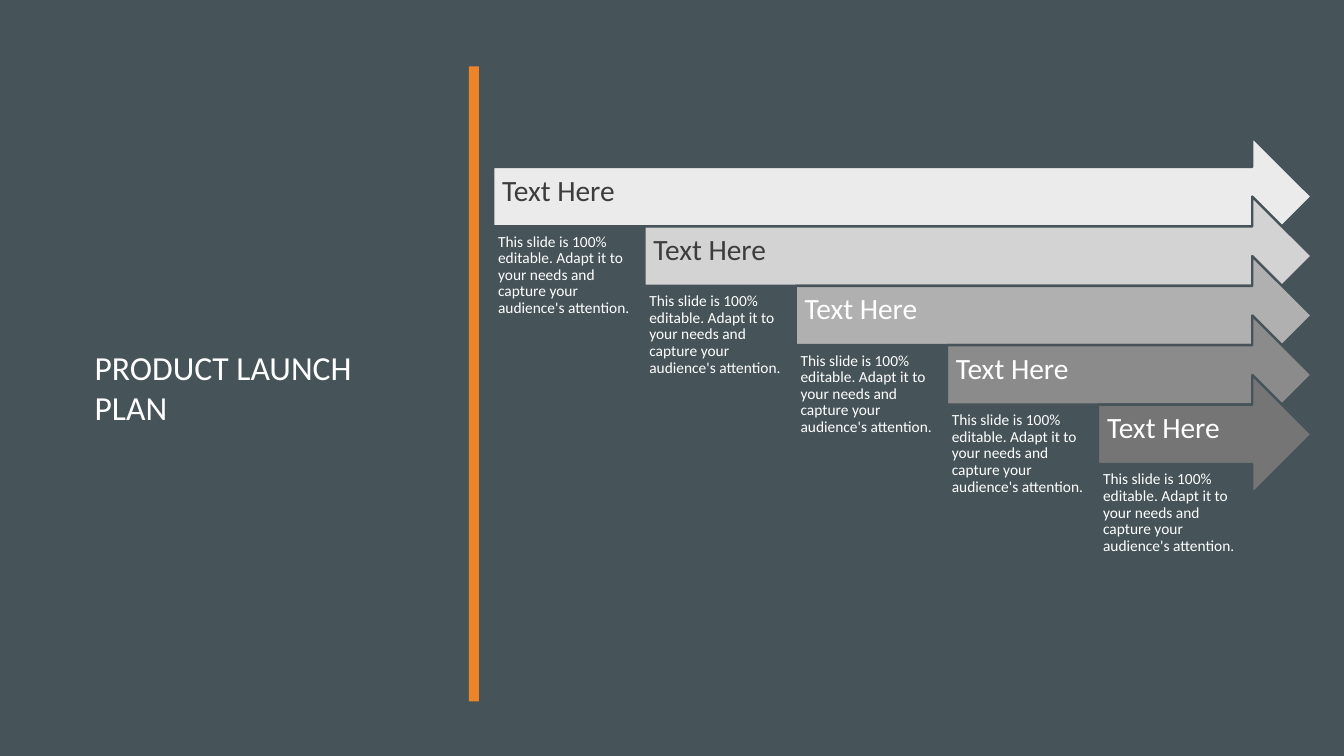
from pptx import Presentation
from pptx.dml.color import RGBColor
from pptx.enum.shapes import MSO_SHAPE
from pptx.enum.text import MSO_ANCHOR, PP_ALIGN
from pptx.util import Inches, Pt

TITLE = "PRODUCT LAUNCH PLAN"
HEAD = "Text Here"
NOTE = ("This slide is 100% editable. Adapt it to your needs and "
        "capture your audience's attention.")

SLATE = RGBColor(0x46, 0x53, 0x59)
ORANGE = RGBColor(0xED, 0x84, 0x28)
WHITE = RGBColor(0xFF, 0xFF, 0xFF)
DARK = RGBColor(0x3D, 0x3D, 0x3D)

# heading, note, arrow fill, heading colour
STEPS = [
    (HEAD, NOTE, RGBColor(0xEB, 0xEB, 0xEB), DARK),
    (HEAD, NOTE, RGBColor(0xD3, 0xD3, 0xD3), DARK),
    (HEAD, NOTE, RGBColor(0xB0, 0xB0, 0xB0), WHITE),
    (HEAD, NOTE, RGBColor(0x8B, 0x8B, 0x8B), WHITE),
    (HEAD, NOTE, RGBColor(0x75, 0x75, 0x75), WHITE),
]

FONT = "Calibri"
RECT, ARROW = MSO_SHAPE.RECTANGLE, MSO_SHAPE.RIGHT_ARROW
MIDDLE, TOP, LEFT = MSO_ANCHOR.MIDDLE, MSO_ANCHOR.TOP, PP_ALIGN.LEFT

# inches
START_X, START_Y, TIP_X = 4.89, 1.36, 13.01
STEP_X, STEP_Y = 1.5, 0.59
ARROW_H = 2 * STEP_Y
NOTE_DROP, NOTE_H = 0.91, 2.17


def add_solid(slide, kind, box, fill):
    shape = slide.shapes.add_shape(kind, *map(Inches, box))
    shape.shadow.inherit = False
    shape.fill.solid()
    shape.fill.fore_color.rgb = fill
    shape.line.fill.background()
    return shape


def set_text(shape, text, size, color, pads, anchor, spacing=0.9):
    """Fill a shape with one run; pads are left, top, right, bottom."""
    frame = shape.text_frame
    frame.word_wrap = True
    frame.vertical_anchor = anchor
    (frame.margin_left, frame.margin_top,
     frame.margin_right, frame.margin_bottom) = map(Inches, pads)
    para = frame.paragraphs[0]
    para.alignment = LEFT
    para.line_spacing = spacing
    run = para.add_run()
    run.text = text
    run.font.name = FONT
    run.font.size = Pt(size)
    run.font.color.rgb = color


def add_step(slide, index, head, note, fill, color):
    x = START_X + index * STEP_X
    y = START_Y + index * STEP_Y
    arrow = add_solid(slide, ARROW, (x, y, TIP_X - x, ARROW_H), fill)
    arrow.line.color.rgb = SLATE
    arrow.line.width = Pt(1.75)
    set_text(arrow, head, 21, color, (0.09, 0.09, 0.28, 0.19), MIDDLE)
    box = (x, y + NOTE_DROP, STEP_X, NOTE_H)
    label = slide.shapes.add_textbox(*map(Inches, box))
    set_text(label, note, 11, WHITE, (0.05,) * 4, TOP)


def main():
    deck = Presentation()
    deck.slide_width, deck.slide_height = Inches(13.33), Inches(7.5)
    slide = deck.slides.add_slide(deck.slide_layouts[6])
    slide.background.fill.solid()
    slide.background.fill.fore_color.rgb = SLATE

    add_solid(slide, RECT, (4.65, 0.66, 0.1, 6.3), ORANGE)
    title = slide.shapes.add_textbox(*map(Inches, (0.84, 2.9, 3.32, 1.88)))
    set_text(title, TITLE, 24, WHITE, (0.1, 0.05, 0.1, 0.05), MIDDLE, 1.0)
    for index, step in enumerate(STEPS):
        add_step(slide, index, *step)

    deck.save("out.pptx")


if __name__ == "__main__":
    main()
